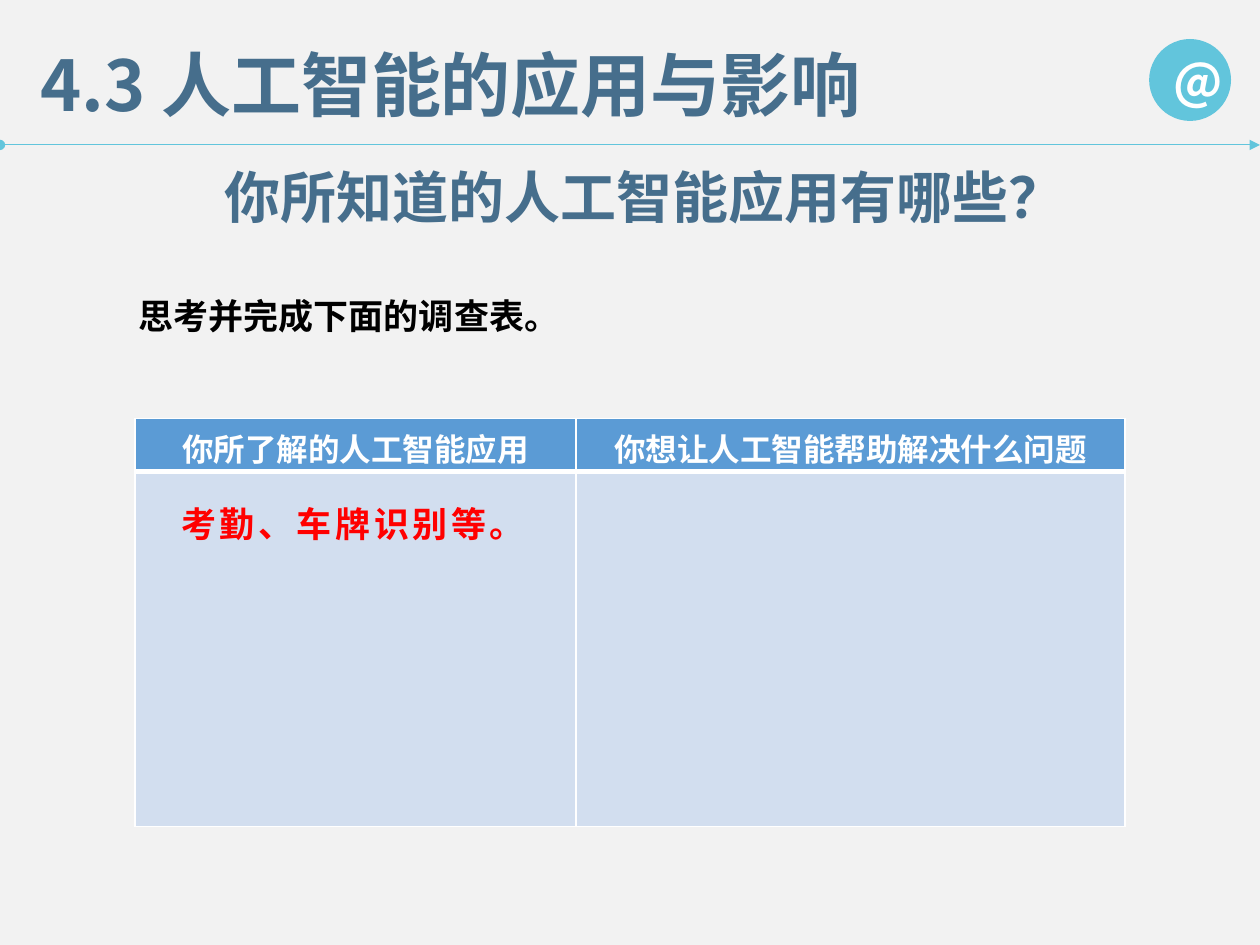
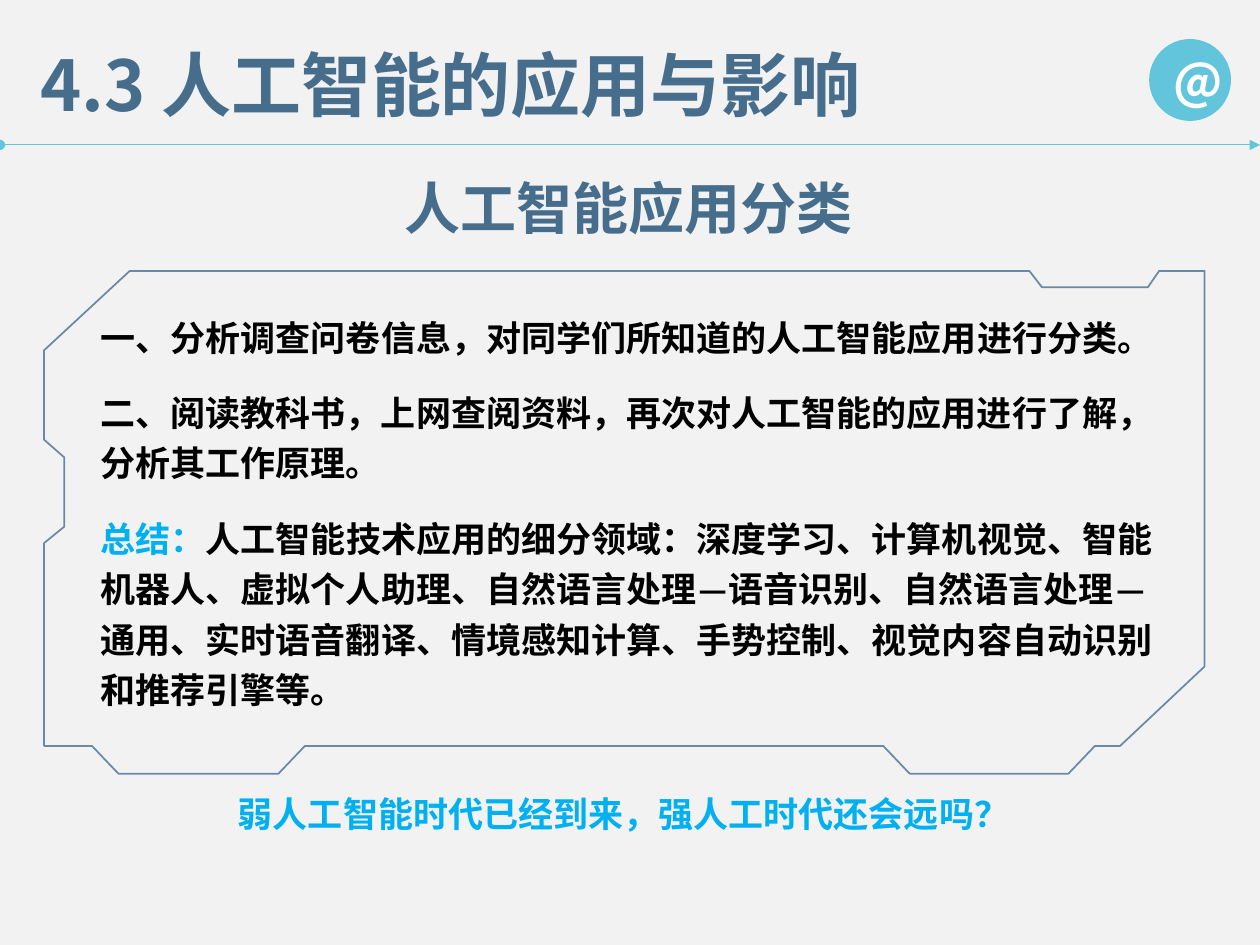
from lxml import etree
from pptx import Presentation
from pptx.dml.color import RGBColor
from pptx.enum.shapes import MSO_CONNECTOR, MSO_SHAPE
from pptx.enum.text import MSO_ANCHOR, PP_ALIGN
from pptx.oxml.ns import qn
from pptx.util import Inches, Pt

LINE = MSO_CONNECTOR.STRAIGHT
OVAL = MSO_SHAPE.OVAL
TOP, MID = MSO_ANCHOR.TOP, MSO_ANCHOR.MIDDLE
LEFT, CENTER, JUST = PP_ALIGN.LEFT, PP_ALIGN.CENTER, PP_ALIGN.JUSTIFY

HEAD, BODY = "Noto Sans CJK SC", "Calibri"
PAPER, AQUA, SLATE, NAVY = "F2F2F2", "62C5DC", "466E8C", "1F4E79"
WHITE, BLACK, RED, SKY = "FFFFFF", "000000", "FF0000", "00B0F0"
BLUE, PALE = "5B9BD5", "D2DEEF"

FRAME = [
    (7.22, 6.14), (8.48, 6.14), (8.69, 5.92), (8.89, 5.92), (9.56, 5.29),
    (9.56, 2.15), (9.2, 2.15), (9.11, 2.28), (8.27, 2.28), (8.17, 2.15),
    (1.03, 2.15), (0.35, 2.78), (0.35, 3.49), (0.51, 3.63), (0.51, 4.18),
    (0.35, 4.31), (0.35, 5.92), (0.73, 5.92), (0.94, 6.14), (2.21, 6.14),
    (2.42, 5.92), (7.01, 5.92),
]


def rgb(code):
    return RGBColor.from_string(code)


def add(parent, tag, **attrs):
    return etree.SubElement(parent, qn(tag), **attrs)


def style(para, size, color, face, align=LEFT):
    """Format a paragraph and give each run the same East Asian font."""
    para.alignment = align
    font = para.font
    font.size, font.bold, font.name = Pt(size), True, face
    font.color.rgb = rgb(color)
    for run in para.runs:
        add(run._r.get_or_add_rPr(), "a:ea", typeface=face)


def write(slide, text, box, size, color, face, align=LEFT, anchor=TOP):
    shape = slide.shapes.add_textbox(*map(Inches, box))
    frame = shape.text_frame
    frame.word_wrap = True
    frame.vertical_anchor = anchor
    frame.text = text
    style(frame.paragraphs[0], size, color, face, align)
    return frame


def heading(slide, text, box, size, color=SLATE):
    write(slide, text, box, size, color, HEAD, anchor=MID)


def body(slide, text, box, color=BLACK, align=LEFT):
    return write(slide, text, box, 20, color, BODY, align)


def rule(slide):
    """Draw the line below the title, from a dot to an arrow."""
    line = slide.shapes.add_connector(
        LINE, 0, Inches(1.15), Inches(10), Inches(1.15))
    line.line.color.rgb = rgb(AQUA)
    line.line.width = Pt(0.5)
    ln = line.line._get_or_add_ln()
    add(ln, "a:headEnd", type="oval")
    add(ln, "a:tailEnd", type="triangle")
    add(line._element.spPr, "a:effectLst")


def badge(slide):
    disc = slide.shapes.add_shape(
        OVAL, *map(Inches, (9.12, 0.31, 0.65, 0.65)))
    disc.shadow.inherit = False
    disc.fill.solid()
    disc.fill.fore_color.rgb = rgb(AQUA)
    disc.line.fill.background()
    frame = disc.text_frame
    frame.word_wrap = True
    frame.vertical_anchor = MID
    frame.text = "@"
    style(frame.paragraphs[0], 28, WHITE, HEAD, CENTER)


def base(deck):
    """Add a slide with the shared background, title, line and badge."""
    slide = deck.slides.add_slide(deck.slide_layouts[6])
    fill = slide.background.fill
    fill.solid()
    fill.fore_color.rgb = rgb(PAPER)
    rule(slide)
    badge(slide)
    heading(slide, "4.3 人工智能的应用与影响", (0.22, 0.28, 6.95, 0.77), 40)
    return slide


def paint(cell, color, top, bottom):
    """Give a cell white borders, then its fill."""
    props = cell._tc.get_or_add_tcPr()
    for side, width in (("L", 1), ("R", 1), ("T", top), ("B", bottom)):
        edge = add(props, "a:ln" + side, w=str(Pt(width)))
        add(add(edge, "a:solidFill"), "a:srgbClr", val=WHITE)
    cell.fill.solid()
    cell.fill.fore_color.rgb = rgb(color)


def survey(slide, heads):
    grid = slide.shapes.add_table(
        2, 2, *map(Inches, (1.07, 3.32, 7.86, 3.24))).table
    grid.horz_banding = False
    for col, width in zip(grid.columns, (3.5, 4.36)):
        col.width = Inches(width)
    for row, height in zip(grid.rows, (0.42, 2.82)):
        row.height = Inches(height)
    for i, text in enumerate(heads):
        cell = grid.cell(0, i)
        cell.text = text
        cell.vertical_anchor = MID
        cell.margin_top, cell.margin_bottom = Inches(0.04), 0
        style(cell.text_frame.paragraphs[0], 18, WHITE, HEAD, CENTER)
        paint(cell, BLUE, 1, 3)
        paint(grid.cell(1, i), PALE, 3, 1)


def outline(slide, points):
    start, *rest = [(Inches(x), Inches(y)) for x, y in points]
    pen = slide.shapes.build_freeform(*start)
    pen.add_line_segments(rest, close=True)
    frame = pen.convert_to_shape()
    frame.shadow.inherit = False
    frame.fill.background()
    frame.line.color.rgb = rgb(NAVY)
    frame.line.width = Pt(1)
    tint = frame.line._get_or_add_ln().find(".//" + qn("a:srgbClr"))
    add(tint, "a:alpha", val="64000")


def ask(deck):
    slide = base(deck)
    heading(slide, "你所知道的人工智能应用有哪些？", (1.68, 1.24, 7.44, 0.64), 32)
    task = body(slide, "思考并完成下面的调查表。", (0.49, 2.29, 4.26, 0.63),
                align=JUST)
    task.margin_left = Inches(0.61)
    survey(slide, ("你所了解的人工智能应用", "你想让人工智能帮助解决什么问题"))
    reply = body(slide, "考勤、车牌识别等。", (1.34, 3.94, 2.66, 0.5), RED)
    reply.word_wrap = False
    reply.paragraphs[0].runs[0]._r.get_or_add_rPr().set("spc", "200")


def sort(deck):
    slide = base(deck)
    heading(slide, "人工智能应用分类", (3.11, 1.32, 5.67, 0.64), 32)
    outline(slide, FRAME)
    body(slide, "一、分析调查问卷信息，对同学们所知道的人工智能应用进行分类。",
         (0.7, 2.46, 8.75, 0.51))
    study = body(
        slide,
        "二、阅读教科书，上网查阅资料，再次对人工智能的应用进行了解，分析其工作原理。",
        (0.7, 2.99, 8.67, 1.09))
    recap = body(slide, "总结：", (0.7, 3.99, 8.75, 1.72))
    para = recap.paragraphs[0]
    para.runs[0].font.color.rgb = rgb(SKY)
    run = para.add_run()
    run.text = ("人工智能技术应用的细分领域：深度学习、计算机视觉、智能机器人、"
                "虚拟个人助理、自然语言处理—语音识别、自然语言处理—通用、"
                "实时语音翻译、情境感知计算、手势控制、视觉内容自动识别和推荐引擎等。")
    add(run._r.get_or_add_rPr(), "a:ea", typeface=BODY)
    for frame in (study, recap):
        frame.paragraphs[0].line_spacing = 1.2
    heading(slide, "弱人工智能时代已经到来，强人工时代还会远吗？",
            (1.79, 6.24, 7.26, 0.44), 20, SKY)


def main():
    deck = Presentation()
    deck.slide_width, deck.slide_height = Inches(10), Inches(7.5)
    ask(deck)
    sort(deck)
    deck.save("out.pptx")


if __name__ == "__main__":
    main()
